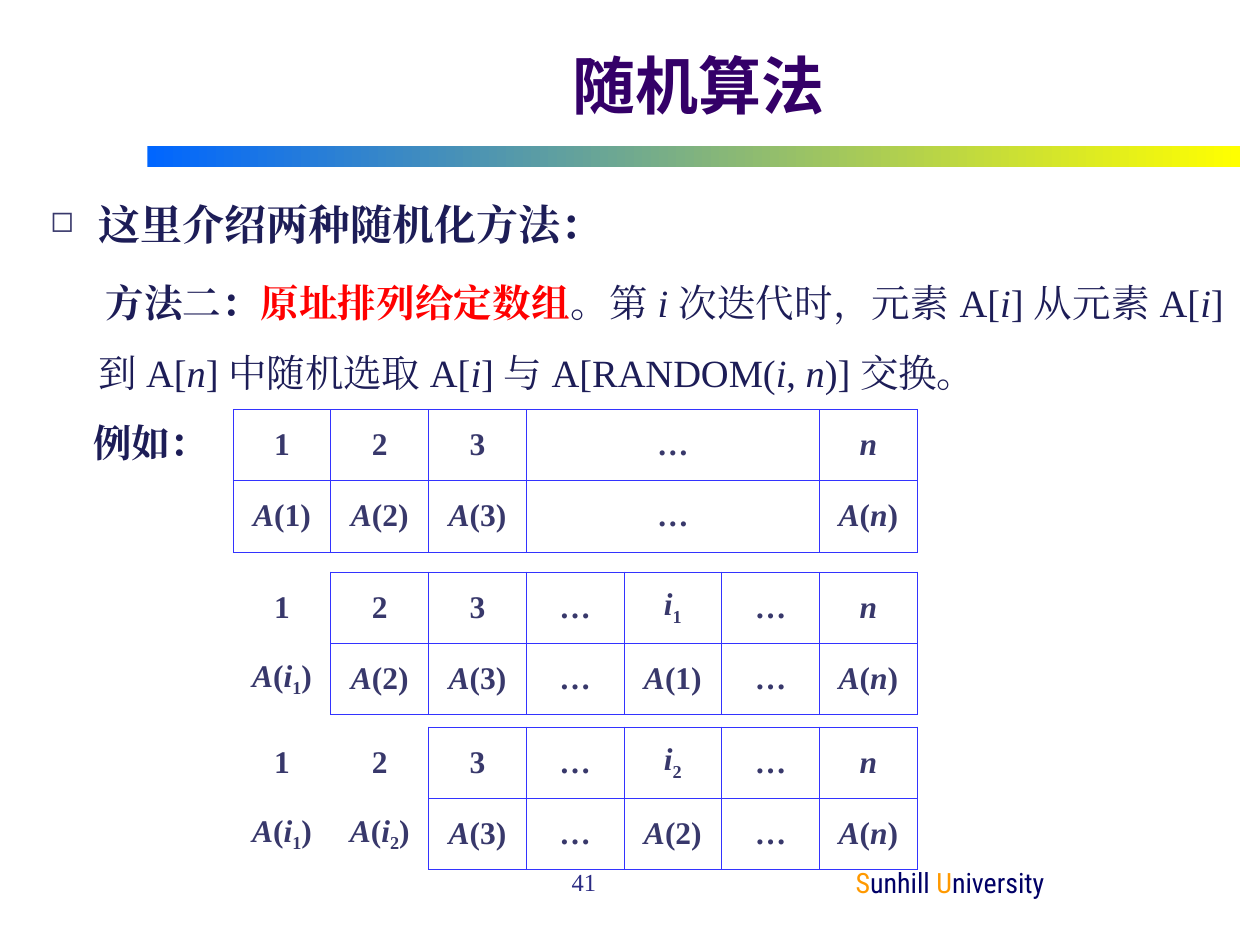
import pptx
import pptx.util
import pptx.dml.color
import pptx.enum.text
import pptx.enum.shapes
import pptx.oxml.ns
from lxml import etree

Inches, Pt = pptx.util.Inches, pptx.util.Pt
Align, Anchor = pptx.enum.text.PP_ALIGN, pptx.enum.text.MSO_ANCHOR

# Content: a run is (text, style)
title_text = "随机算法"
intro = [("这里介绍两种随机化方法:".replace(":", "："), "lead")]
method = [
    ("方法二：", "strong"), ("原址排列给定数组", "key"), ("。第 ", "plain"),
    ("i ", "var"), ("次迭代时，元素 A[", "plain"), ("i", "var"),
    ("] 从元素 A[", "plain"), ("i", "var"), ("] 到 A[", "plain"), ("n", "var"),
    ("] 中随机选取 A[", "plain"), ("i", "var"), ("] 与 A[RANDOM(", "plain"),
    ("i", "var"), (", ", "plain"), ("n", "var"), (")] 交换。", "plain"),
]
example = [("例如：", "strong")]
page_number = [("41", "page")]
school = [("S", "initial"), ("unhill ", "school"),
          ("U", "initial"), ("niversity", "school")]

# Array states: top, columns already fixed, column spans, rows
array_states = [
    (3.25, 0, [1, 1, 1, 3, 1],
     ["1 2 3 … n", "A(1) A(2) A(3) … A(n)"]),
    (4.54, 1, [1] * 7,
     ["1 2 3 … i1 … n", "A(i1) A(2) A(3) … A(1) … A(n)"]),
    (5.77, 2, [1] * 7,
     ["1 2 3 … i2 … n", "A(i1) A(i2) A(3) … A(2) … A(n)"]),
]
array_left, array_width, array_height = 1.85, 5.43, 1.13

# Theme
SERIF, SANS, CONDENSED = "Times New Roman", "Noto Sans CJK SC", "Roboto Condensed"
COLORS = {"rule_start": "0066FF", "rule_end": "FFFF00", "grid": "3333FF",
          "paper": "FFFFFF", "bullet": "38386B"}
STYLES = {
    "title": dict(name=SANS, size=36, color="340068", bold=True),
    "lead": dict(name=SERIF, size=24, color="1D1D57", bold=True),
    "strong": dict(name=SERIF, size=22, color="1D1D57", bold=True),
    "key": dict(name=SERIF, size=22, color="FF0000", bold=True),
    "plain": dict(name=SERIF, size=22, color="1D1D57", bold=False),
    "var": dict(name=SERIF, size=22, color="1D1D57", bold=False, italic=True),
    "cell": dict(name=SERIF, size=18, color="38386B", bold=True),
    "page": dict(name=SERIF, size=14, color="2B2B83"),
    "initial": dict(name=CONDENSED, size=16, color="FF9900"),
    "school": dict(name=CONDENSED, size=16, color="000066"),
}


def rgb(value):
    return pptx.dml.color.RGBColor.from_string(value)


def add_node(parent, tag, **attributes):
    return etree.SubElement(parent, pptx.oxml.ns.qn(tag), attributes)


def add_run(paragraph, text, style, **extra):
    run = paragraph.add_run()
    run.text = text
    for key, value in {**STYLES[style], **extra}.items():
        if key == "color":
            run.font.color.rgb = rgb(value)
        else:
            setattr(run.font, key, Pt(value) if key == "size" else value)
    properties = run._r.get_or_add_rPr()
    add_node(properties, "a:ea", typeface=STYLES[style]["name"])
    return properties


def add_runs(paragraph, runs, align):
    paragraph.alignment = align
    for text, style in runs:
        add_run(paragraph, text, style)


def add_text_box(left, top, width, height, wrap=True):
    box = slide.shapes.add_textbox(*map(Inches, (left, top, width, height)))
    box.text_frame.word_wrap = wrap
    return box


def add_formula(paragraph, formula):
    """Letters are italic, and a digit after i is its index."""
    previous = ""
    for char in formula:
        properties = add_run(paragraph, char, "cell", italic=char.isascii() and char.isalpha())
        if previous == "i" and char.isdigit():
            properties.set("baseline", "-25000")
        previous = char


def set_borders(cell, colors):
    properties = cell._tc.get_or_add_tcPr()
    for index, (side, color) in enumerate(colors.items()):
        line = add_node(properties, "a:ln" + side, w=str(Pt(0.45)))
        add_node(add_node(line, "a:solidFill"), "a:srgbClr", val=COLORS[color])
        properties.insert(index, line)


def add_array(top, fixed, spans, rows):
    frame = slide.shapes.add_table(len(rows), len(spans), Inches(array_left), Inches(top),
                                   Inches(array_width), Inches(array_height))
    table = frame.table
    table.first_row = table.horz_banding = False
    for column, span in zip(table.columns, spans):
        column.width = Inches(array_width * span / sum(spans))
    for r, row in enumerate(rows):
        for c, formula in enumerate(row.split()):
            cell = table.cell(r, c)
            cell.vertical_anchor = Anchor.MIDDLE
            cell.fill.background()
            paragraph = cell.text_frame.paragraphs[0]
            paragraph.alignment, paragraph.space_before = Align.CENTER, Pt(4.5)
            add_formula(paragraph, formula)
            sides = dict.fromkeys("LRTB", "paper" if c < fixed else "grid")
            if c == fixed - 1:
                sides["R"] = "grid"
            set_borders(cell, sides)


presentation = pptx.Presentation()
presentation.slide_width, presentation.slide_height = Inches(10), Inches(7.5)
slide = presentation.slides.add_slide(presentation.slide_layouts[5])

# Title and gradient rule
title = slide.shapes.title
title.left, title.top, title.width, title.height = map(Inches, (1.5, 0.17, 8.08, 1))
title.text_frame.vertical_anchor = Anchor.MIDDLE
add_runs(title.text_frame.paragraphs[0], [(title_text, "title")], Align.CENTER)

rule = slide.shapes.add_shape(pptx.enum.shapes.MSO_SHAPE.RECTANGLE,
                              *map(Inches, (1.17, 1.16, 8.67, 0.17)))
rule.shadow.inherit = False
rule.line.fill.background()
rule.fill.gradient()
rule.fill.gradient_angle = 0
for stop, color in zip(rule.fill.gradient_stops, ("rule_start", "rule_end")):
    stop.color.rgb = rgb(COLORS[color])

# School name and page number
school_box = add_text_box(5.08, 6.75, 4.92, 0.5, wrap=False)
school_box.text_frame.vertical_anchor = Anchor.MIDDLE
add_runs(school_box.text_frame.paragraphs[0], school, Align.CENTER)
page_box = add_text_box(3.83, 6.83, 1, 0.5)
add_runs(page_box.text_frame.paragraphs[0], page_number, Align.RIGHT)

# Body: runs, first-line indent, line pitch, space before
body = add_text_box(0.3, 1.31, 9.51, 5.67).text_frame
body_lines = [(intro, -0.38, 44.5, 0), (method, 0.06, 40, 3.5), (example, -0.04, 40, 0)]
for index, (runs, indent, pitch, before) in enumerate(body_lines):
    paragraph = body.add_paragraph() if index else body.paragraphs[0]
    add_runs(paragraph, runs, Align.JUSTIFY)
    paragraph.line_spacing, paragraph.space_before = Pt(pitch), Pt(before)
    properties = paragraph._p.get_or_add_pPr()
    properties.set("marL", str(Inches(0.38)))
    properties.set("indent", str(Inches(indent)))
    if runs is intro:
        add_node(add_node(properties, "a:buClr"), "a:srgbClr", val=COLORS["bullet"])
        add_node(properties, "a:buSzPct", val="70000")
        add_node(properties, "a:buChar", char="◻")
    else:
        add_node(properties, "a:buNone")

# Array states
for state in array_states:
    add_array(*state)

presentation.save("out.pptx")
